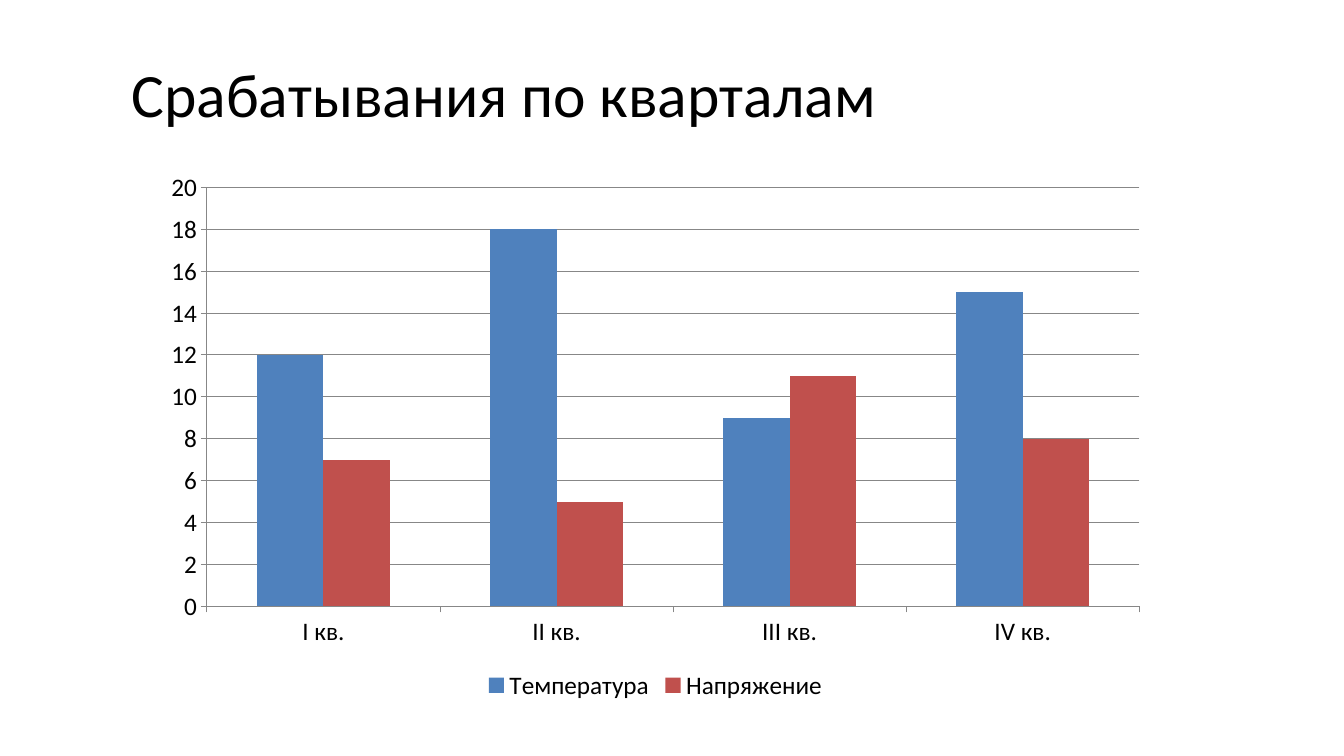
from pptx import Presentation, util as u
from pptx.chart.data import CategoryChartData
from pptx.dml.color import RGBColor
from pptx.enum import chart as ch, text

WIDTH, HEIGHT = 13.33, 7.5
BLACK, GREY = "000000", "878787"
QUARTERS = ["I кв.", "II кв.", "III кв.", "IV кв."]
TRIPS = {  # series name: (values, colour)
    "Температура": ((12, 18, 9, 15), "4F81BD"),
    "Напряжение": ((7, 5, 11, 8), "C0504D"),
}


def paint(color_format, hex_color):
    color_format.rgb = RGBColor.from_string(hex_color)


def style_font(font, size):
    for name, value in {"name": "Calibri", "size": u.Pt(size), "bold": False}.items():
        setattr(font, name, value)
    paint(font.color, BLACK)


def style_line(line):
    line.width = u.Pt(0.75)
    paint(line.color, GREY)


def add_title(slide, box, wording):
    title = slide.shapes.title
    for side, length in zip(("left", "top", "width", "height"), box):
        setattr(title, side, u.Inches(length))
    frame = title.text_frame
    frame.text = wording
    frame.vertical_anchor = text.MSO_ANCHOR.MIDDLE
    heading = frame.paragraphs[0]
    heading.alignment = text.PP_ALIGN.CENTER
    style_font(heading.runs[0].font, 44)


def add_trip_chart(slide, box):
    data = CategoryChartData()
    data.categories = QUARTERS
    for name, (values, _) in TRIPS.items():
        data.add_series(name, values)
    chart = slide.shapes.add_chart(
        ch.XL_CHART_TYPE.COLUMN_CLUSTERED, *map(u.Inches, box), data).chart
    chart.has_title = False
    style_font(chart.font, 18)

    # Columns
    plot = chart.plots[0]
    for name, value in {"gap_width": 150, "overlap": 0, "vary_by_categories": False}.items():
        setattr(plot, name, value)
    for series, (_, color) in zip(plot.series, TRIPS.values()):
        series.format.fill.solid()
        paint(series.format.fill.fore_color, color)

    # Axes and gridlines
    for axis in (chart.category_axis, chart.value_axis):
        axis.major_tick_mark = ch.XL_TICK_MARK.OUTSIDE
        style_font(axis.tick_labels.font, 18)
        style_line(axis.format.line)
    scale = {"minimum_scale": 0, "maximum_scale": 20, "major_unit": 2,
             "has_major_gridlines": True}
    for name, value in scale.items():
        setattr(chart.value_axis, name, value)
    style_line(chart.value_axis.major_gridlines.format.line)

    # Legend
    chart.has_legend = True
    chart.legend.position = ch.XL_LEGEND_POSITION.BOTTOM
    chart.legend.include_in_layout = False
    style_font(chart.legend.font, 18)


def main():
    deck = Presentation()
    deck.slide_width, deck.slide_height = u.Inches(WIDTH), u.Inches(HEIGHT)
    slide = deck.slides.add_slide(deck.slide_layouts[5])
    add_title(slide, (0.5, 0.04 * HEIGHT, 9, HEIGHT / 6), "Срабатывания по кварталам")
    add_trip_chart(slide, (1.5, 1.6, 10, 0.72 * HEIGHT))
    deck.save("out.pptx")


if __name__ == "__main__":
    main()
